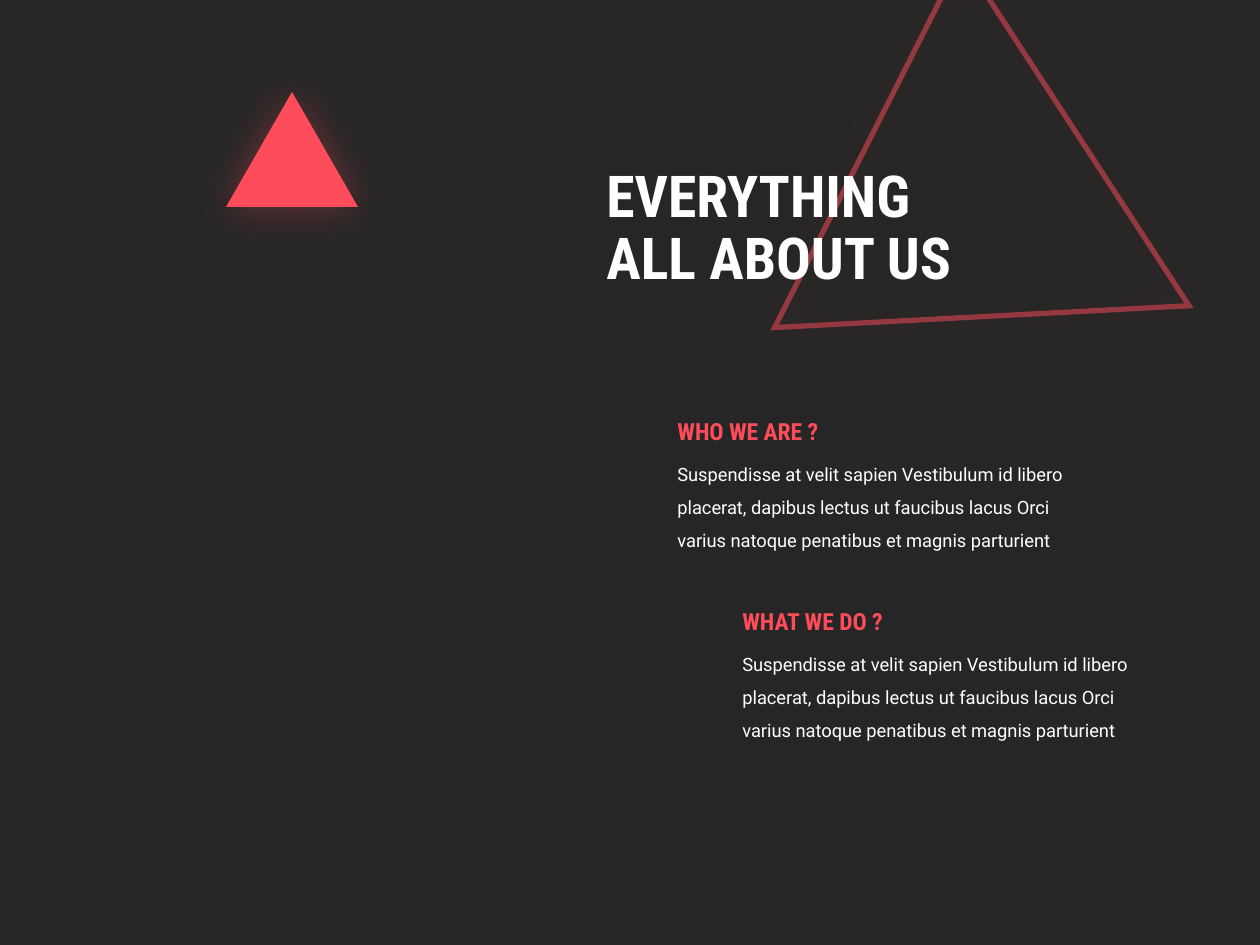
from dataclasses import dataclass

from lxml import etree
from pptx import Presentation
from pptx import util as u
from pptx.dml.color import RGBColor
from pptx.enum import shapes, text
from pptx.oxml import ns

PX = u.Inches(1) / 126
DARK = RGBColor(0x26, 0x26, 0x26)
WHITE = RGBColor(0xFF, 0xFF, 0xFF)
CORAL = RGBColor(0xFF, 0x4C, 0x5B)

TITLE = dict(name="Roboto Condensed", size=u.Pt(33), bold=True)
HEAD = dict(name="Roboto Condensed", size=u.Pt(13.5), bold=True)
BODY = dict(name="Roboto", size=u.Pt(10.5), bold=False)

COPY = ("Suspendisse at velit sapien Vestibulum id libero placerat, "
        "dapibus lectus ut faucibus lacus Orci varius natoque "
        "penatibus et magnis parturient")


@dataclass
class Box:
    left: int
    top: int
    width: int
    height: int

    def emu(self) -> list[int]:
        sides = (self.left, self.top, self.width, self.height)
        return [round(side * PX) for side in sides]


@dataclass
class Topic:
    head: str
    left: int
    top: int


TOPICS = [Topic("WHO WE ARE ?", 665, 411), Topic("WHAT WE DO ?", 730, 601)]


def add_node(parent, tag: str, **attrs: str):
    return etree.SubElement(parent, ns.qn(tag), attrs)


def add_glow(shape) -> None:
    """Surround the shape with a soft, centred coral shadow."""
    shape.shadow.inherit = False
    effects = shape._element.spPr.find(ns.qn("a:effectLst"))
    glow = add_node(effects, "a:outerShdw", blurRad=str(u.Pt(25)), dist="0",
                    dir="0", algn="ctr", rotWithShape="0")
    tint = add_node(glow, "a:srgbClr", val=str(CORAL))
    add_node(tint, "a:alpha", val="35000")


def add_peak(slide, box: Box):
    """Add a glowing triangle."""
    kind = shapes.MSO_SHAPE.ISOSCELES_TRIANGLE
    peak = slide.shapes.add_shape(kind, *box.emu())
    add_glow(peak)
    return peak


def add_text(slide, box: Box, words: str, style: dict, color: RGBColor,
             space: float = 1.0, middle: bool = False) -> None:
    frame = slide.shapes.add_textbox(*box.emu()).text_frame
    frame.word_wrap = True
    if middle:
        frame.vertical_anchor = text.MSO_ANCHOR.MIDDLE
    para = frame.paragraphs[0]
    para.text = words
    para.line_spacing = space
    font = para.runs[0].font
    for run in para.runs:
        font = run.font
        for key, value in style.items():
            setattr(font, key, value)
        font.color.rgb = color


def add_topic(slide, topic: Topic) -> None:
    body = Box(topic.left, topic.top + 35, 426, 110)
    add_text(slide, body, COPY, BODY, WHITE, space=1.5)
    head = Box(topic.left, topic.top, 232, 42)
    add_text(slide, head, topic.head, HEAD, CORAL)


def main() -> None:
    deck = Presentation()
    deck.slide_width, deck.slide_height = u.Inches(10), u.Inches(7.5)
    slide = deck.slides.add_slide(deck.slide_layouts[6])
    slide.background.fill.solid()
    slide.background.fill.fore_color.rgb = DARK

    outline = add_peak(slide, Box(717, 50, 416, 359))
    outline.rotation = 236.9
    outline.fill.background()
    outline.line.color.rgb = CORAL
    outline.line.width = u.Pt(3)
    line = outline._element.spPr.find(ns.qn("a:ln"))
    add_node(line.find(".//" + ns.qn("a:srgbClr")), "a:alpha", val="50000")
    add_node(line, "a:miter", lim="800000")

    add_text(slide, Box(594, 130, 532, 199), "EVERYTHING\vALL ABOUT US",
             TITLE, WHITE, space=0.9, middle=True)

    solid = add_peak(slide, Box(226, 92, 132, 115))
    solid.fill.solid()
    solid.fill.fore_color.rgb = CORAL
    solid.line.fill.background()

    for topic in TOPICS:
        add_topic(slide, topic)
    deck.save("out.pptx")


if __name__ == "__main__":
    main()
